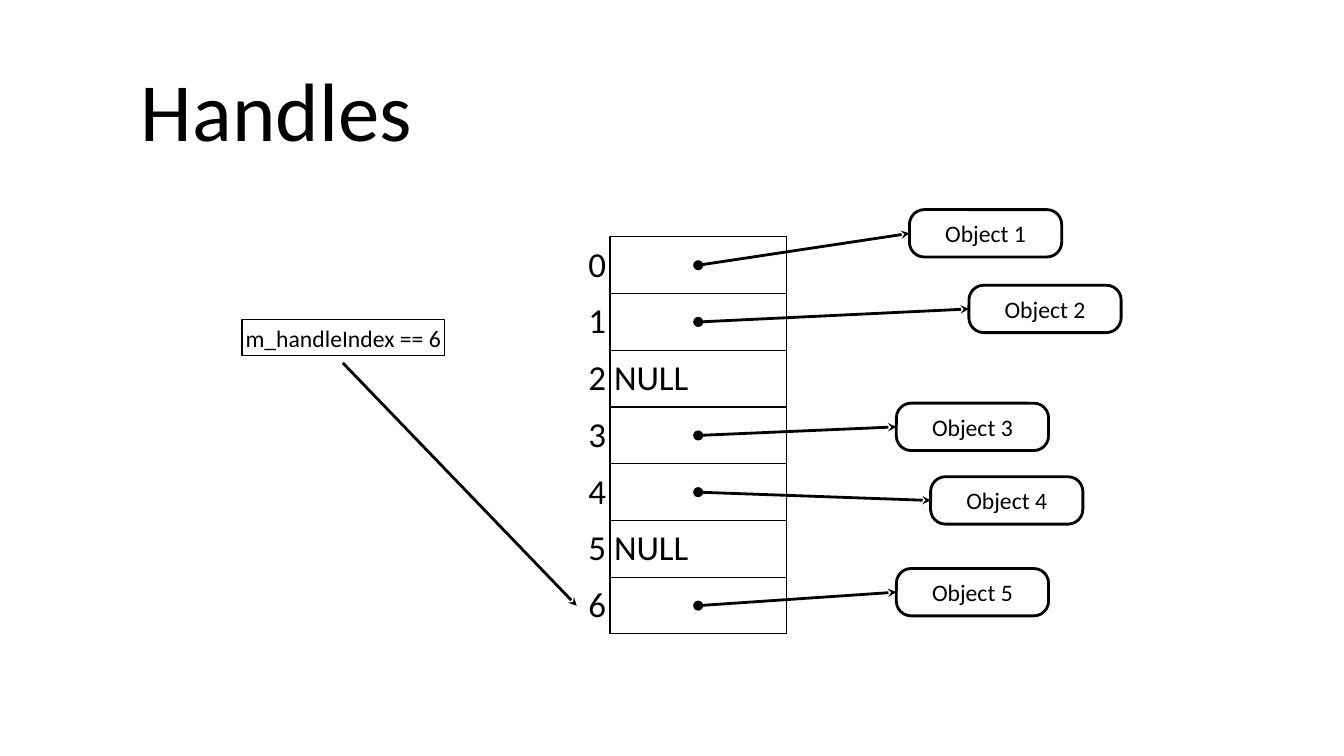
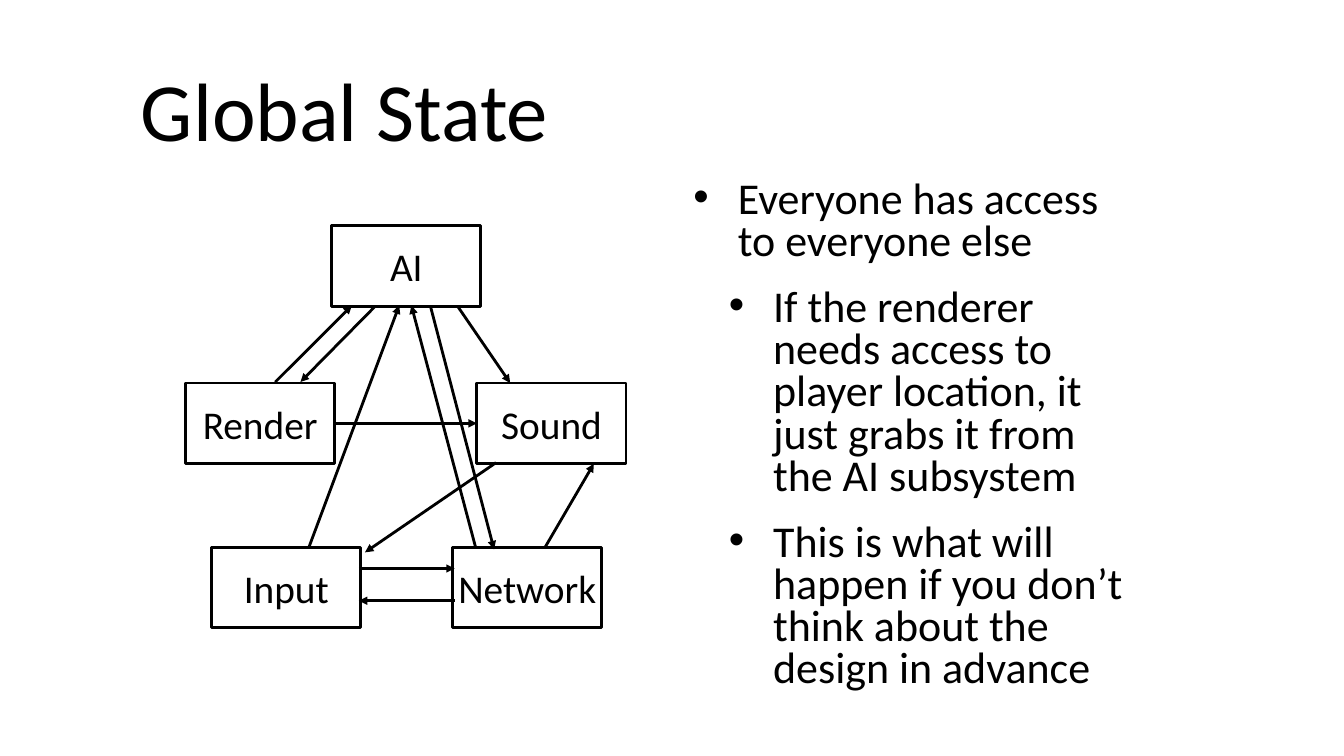
from lxml import etree
from pptx import Presentation
from pptx.dml.color import RGBColor
from pptx.enum import shapes, text
from pptx.oxml import ns
from pptx.util import Inches, Pt

FONT = "Calibri"
INK = "000000"
INSET = 0.04
SHAPE = shapes.MSO_SHAPE
ALIGN = text.PP_ALIGN
MIDDLE = text.MSO_ANCHOR.MIDDLE
LEFT, RIGHT = 1, 3

TABLE_LEFT, TABLE_TOP = 4.3, 2.35
COLUMN_WIDTH, ROW_HEIGHT = 1.75, 3.94 / 7
DOT_SIZE = 0.1
OBJECT_SIZE = (1.51, 0.47)
SUBSYSTEM_SIZE = (1.48, 0.8)

HANDLE_SLOTS = [
    ("Object 1", 9.02, 2.08),
    ("Object 2", 9.61, 2.83),
    None,
    ("Object 3", 8.89, 4),
    ("Object 4", 9.23, 4.73),
    None,
    ("Object 5", 8.89, 5.64),
]

SUBSYSTEMS = {
    "Render": (1.84, 3.8),
    "AI": (3.29, 2.24),
    "Sound": (4.73, 3.8),
    "Input": (2.1, 5.43),
    "Network": (4.49, 5.43),
}

ACCESS_ARROWS = [
    ((2.73, 3.79), (3.49, 3.03)),
    ((3.72, 3.04), (2.98, 3.79)),
    ((3.06, 5.44), (3.96, 3.03)),
    ((4.72, 5.44), (4.08, 3.03)),
    ((4.27, 3.04), (4.9, 5.45)),
    ((4.54, 3.04), (5.06, 3.8)),
    ((5.4, 5.44), (5.89, 4.6)),
    ((3.56, 5.64), (4.51, 5.64)),
    ((4.51, 5.96), (3.56, 5.96)),
    ((4.92, 4.59), (3.62, 5.48)),
]

STATE_POINTS = [
    (0, "Everyone has access to everyone else"),
    (1, "If the renderer needs access to player location, it just grabs it from the AI subsystem"),
    (1, "This is what will happen if you don’t think about the design in advance"),
]


def color(value):
    return RGBColor.from_string(value)


def add_child(parent, tag, **attributes):
    return etree.SubElement(parent, ns.qn(tag), attributes)


def style_paragraph(paragraph, size, align=ALIGN.LEFT):
    paragraph.alignment = align
    for run in paragraph.runs:
        run.font.name = FONT
        run.font.size = Pt(size)
        run.font.color.rgb = color(INK)


def add_text_area(slide, left, top, width, height):
    area = slide.shapes.add_textbox(Inches(left), Inches(top), Inches(width), Inches(height))
    frame = area.text_frame
    frame.word_wrap = True
    frame.vertical_anchor = MIDDLE
    return frame


def add_title(slide, title):
    frame = add_text_area(slide, 1.3, 0.2, 10.73, 1.88)
    frame.text = title
    frame.paragraphs[0].line_spacing = 0.9
    style_paragraph(frame.paragraphs[0], 59.1)


def add_bullets(slide, points):
    frame = add_text_area(slide, 6.54, 1.71, 4.84, 5.24)
    frame.text = "\n".join(point for _, point in points)
    for paragraph, (level, _) in zip(frame.paragraphs, points):
        paragraph.level = level
        paragraph.line_spacing = 0.8
        paragraph.space_before = Pt(16.9)
        style_paragraph(paragraph, 31.4)
        properties = paragraph._p.get_or_add_pPr()
        properties.set("marL", str(Inches(0.68 + 0.35 * level)))
        properties.set("indent", str(Inches(-0.44)))
        add_child(properties, "a:buFont", typeface="Arial")
        add_child(properties, "a:buChar", char="•")


def add_box(slide, label, place, size, font_size, outline=2, preset=SHAPE.RECTANGLE,
            side_inset=INSET):
    box = slide.shapes.add_shape(preset, *map(Inches, (*place, *size)))
    box.shadow.inherit = False
    box.fill.background()
    box.line.color.rgb = color(INK)
    box.line.width = Pt(outline)
    frame = box.text_frame
    frame.margin_left = frame.margin_right = Inches(side_inset)
    frame.margin_top = frame.margin_bottom = Inches(INSET)
    frame.vertical_anchor = MIDDLE
    frame.word_wrap = True
    frame.text = label
    style_paragraph(frame.paragraphs[0], font_size, ALIGN.CENTER)
    return box


def add_arrow(slide, start, end, head="triangle"):
    arrow = slide.shapes.add_connector(
        shapes.MSO_CONNECTOR.STRAIGHT, *map(Inches, (*start, *end)))
    arrow.line.color.rgb = color(INK)
    arrow.line.width = Pt(2)
    add_child(arrow.line._get_or_add_ln(), "a:tailEnd", type=head)
    add_child(arrow._element.spPr, "a:effectLst")
    return arrow


def add_dot(slide, center_x, center_y):
    dot = slide.shapes.add_shape(
        SHAPE.OVAL, Inches(center_x - DOT_SIZE / 2), Inches(center_y - DOT_SIZE / 2),
        Inches(DOT_SIZE), Inches(DOT_SIZE))
    dot.shadow.inherit = False
    dot.fill.solid()
    dot.fill.fore_color.rgb = color(INK)
    dot.line.fill.background()


def set_borders(cell, visible):
    properties = cell._tc.get_or_add_tcPr()
    for position, side in enumerate("LRTB"):
        border = add_child(properties, f"a:ln{side}", w=str(Pt(1)))
        if side in visible:
            add_child(add_child(border, "a:solidFill"), "a:srgbClr", val=INK)
        else:
            add_child(border, "a:noFill")
        properties.insert(position, border)


def fill_cell(cell, label, align, borders):
    cell.margin_left = cell.margin_right = Inches(INSET)
    cell.margin_top = cell.margin_bottom = Inches(INSET)
    cell.vertical_anchor = MIDDLE
    cell.fill.background()
    cell.text = label
    style_paragraph(cell.text_frame.paragraphs[0], 25, align)
    set_borders(cell, borders)


def add_handle_table(slide):
    count = len(HANDLE_SLOTS)
    table = slide.shapes.add_table(
        count, 2, Inches(TABLE_LEFT), Inches(TABLE_TOP),
        Inches(2 * COLUMN_WIDTH), Inches(count * ROW_HEIGHT)).table
    table.first_row = False
    table.horz_banding = False
    for index, slot in enumerate(HANDLE_SLOTS):
        table.rows[index].height = Inches(ROW_HEIGHT)
        fill_cell(table.cell(index, 0), str(index), ALIGN.RIGHT, "R")
        fill_cell(table.cell(index, 1), "" if slot else "NULL", ALIGN.LEFT, "LRTB")


def add_object_link(slide, index, label, left, top):
    target = add_box(slide, label, (left, top), OBJECT_SIZE, 16.9,
                     preset=SHAPE.ROUNDED_RECTANGLE)
    target.adjustments[0] = 0.312
    dot_x = TABLE_LEFT + 1.5 * COLUMN_WIDTH
    dot_y = TABLE_TOP + (index + 0.5) * ROW_HEIGHT
    link = add_arrow(slide, (dot_x, dot_y), (left, top + OBJECT_SIZE[1] / 2), "stealth")
    link.end_connect(target, LEFT)
    add_dot(slide, dot_x, dot_y)


def build_handles(slide):
    add_title(slide, "Handles")
    add_handle_table(slide)
    handle = add_box(slide, "m_handleIndex == 6", (2.4, 3.17), (2.01, 0.36), 16.9,
                     outline=1, side_inset=0)
    handle.text_frame.word_wrap = False
    for index, slot in enumerate(HANDLE_SLOTS):
        if slot:
            add_object_link(slide, index, *slot)
    add_arrow(slide, (3.4, 3.6), (5.72, 6.01), "stealth")


def build_global_state(slide):
    add_title(slide, "Global State")
    add_bullets(slide, STATE_POINTS)
    subsystems = {
        label: add_box(slide, label, place, SUBSYSTEM_SIZE, 28.1)
        for label, place in SUBSYSTEMS.items()
    }
    for start, end in ACCESS_ARROWS:
        add_arrow(slide, start, end)
    render_to_sound = add_arrow(slide, (3.32, 4.2), (4.73, 4.2))
    render_to_sound.begin_connect(subsystems["Render"], RIGHT)
    render_to_sound.end_connect(subsystems["Sound"], LEFT)


def main():
    deck = Presentation()
    deck.slide_width = Inches(13.33)
    deck.slide_height = Inches(7.5)
    for build in (build_handles, build_global_state):
        build(deck.slides.add_slide(deck.slide_layouts[6]))
    deck.save("out.pptx")


if __name__ == "__main__":
    main()
